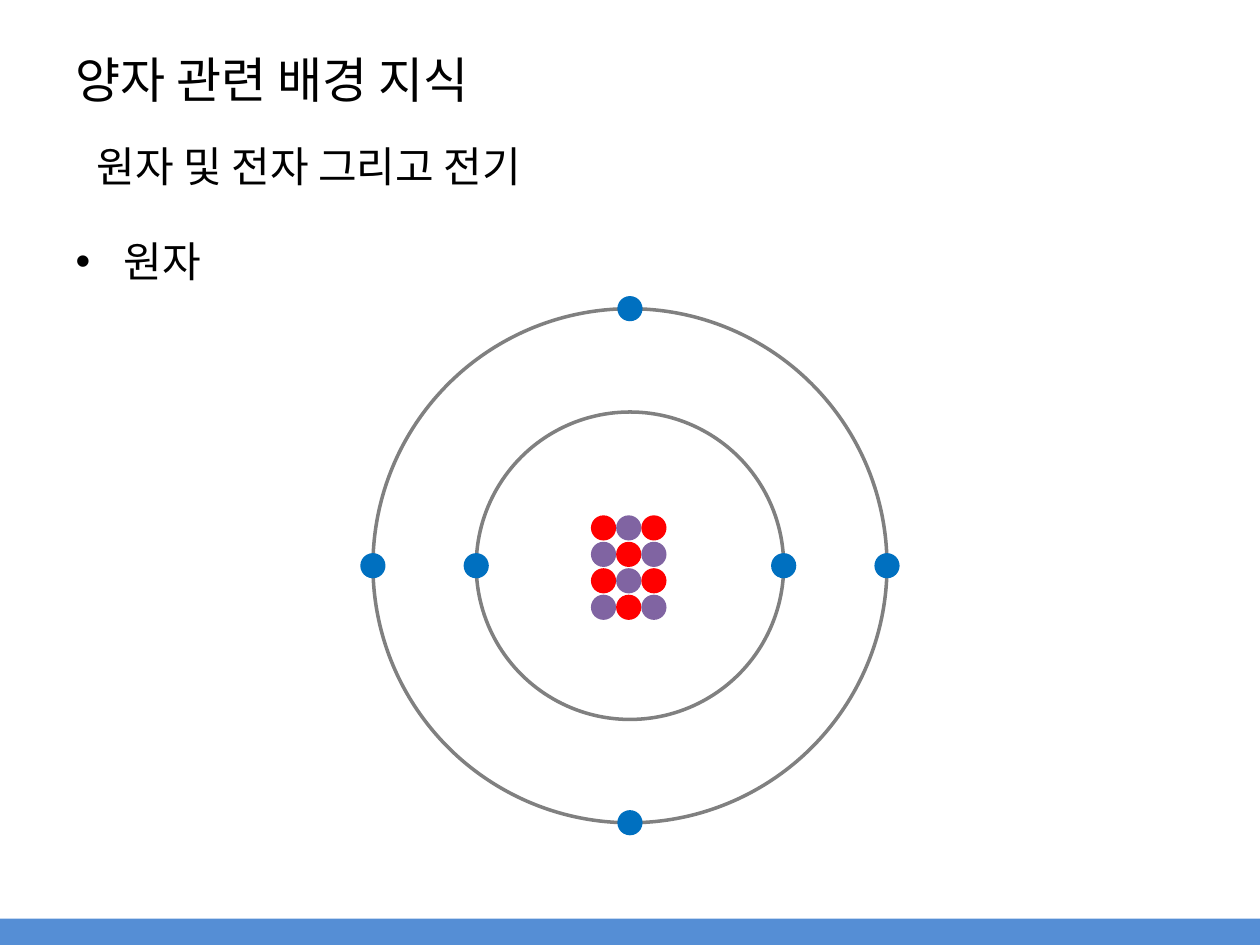
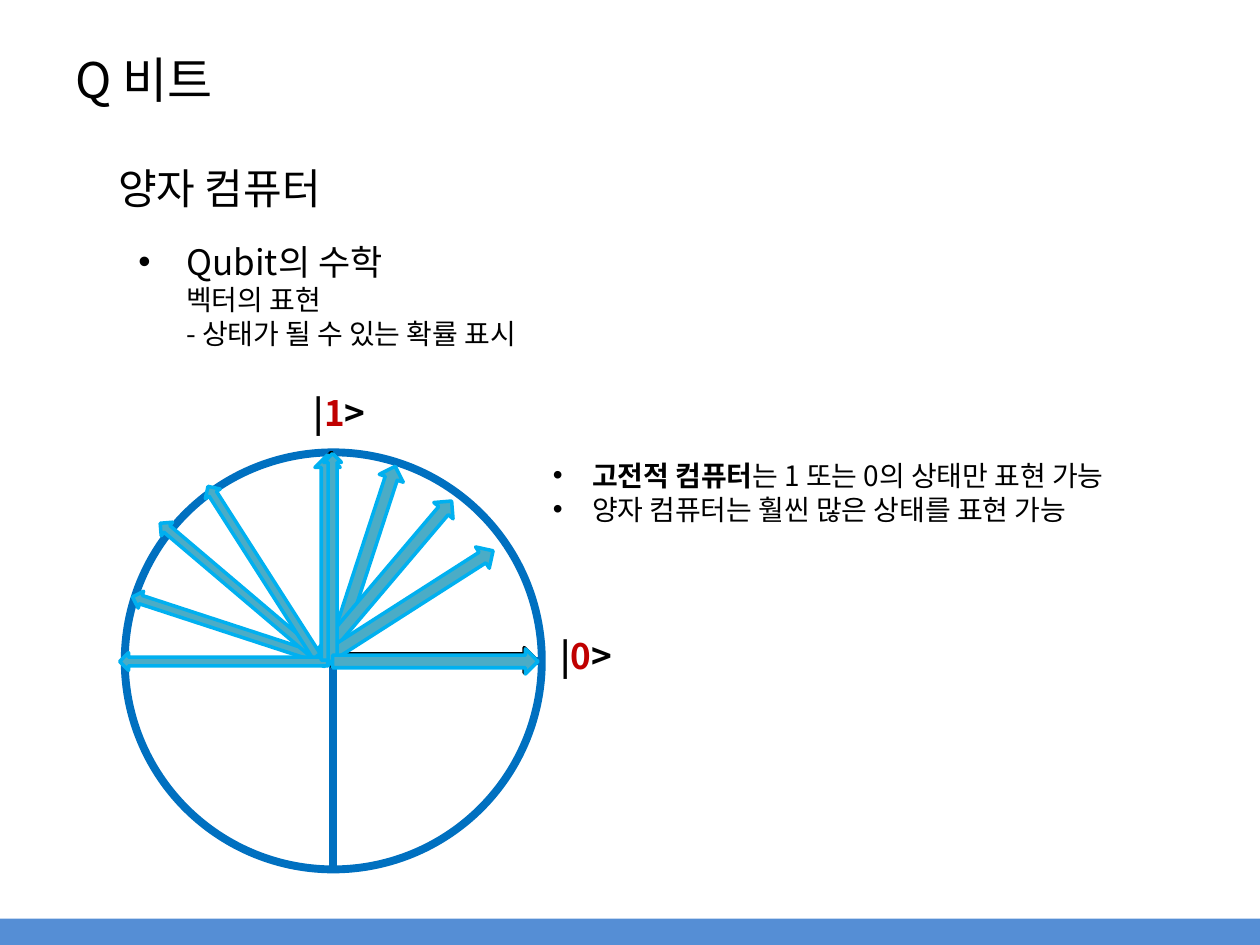
"""Builds two slides on atoms and qubits."""
import math
import pptx
import pptx.util
import pptx.dml.color
import pptx.enum.shapes
import pptx.enum.text
import pptx.oxml.ns
from lxml import etree

Inches = pptx.util.Inches
Pt = pptx.util.Pt
SHAPE = pptx.enum.shapes.MSO_SHAPE
ALIGN = pptx.enum.text.PP_ALIGN
ANCHOR = pptx.enum.text.MSO_ANCHOR
FIT = pptx.enum.text.MSO_AUTO_SIZE
qn = pptx.oxml.ns.qn

FONT = "Noto Sans CJK KR"
BLACK, RED, PURPLE, BLUE = "000000", "FF0000", "8064A2", "0070C0"
GRAY, BAND, MARK, TEAL, SKY = "808080", "558ED5", "C00000", "4BACC6", "00B0F0"


def color(code):
    return pptx.dml.color.RGBColor.from_string(code)


class Deck:
    def __init__(self):
        self.prs = pptx.Presentation()
        self.prs.slide_width, self.prs.slide_height = Inches(10), Inches(7.5)
        self.slide = None

    def page(self, title, layout):
        self.slide = self.prs.slides.add_slide(self.prs.slide_layouts[layout])
        head = self.slide.shapes.title
        self.place(head, 0.5, 0, 9, 1.25)
        head.text_frame.vertical_anchor = ANCHOR.MIDDLE
        self.para(head.text_frame.paragraphs[0], [(title, 28)])
        self.shape(SHAPE.RECTANGLE, 0, 7.29, 10, 0.21, BAND)

    def place(self, item, x, y, w, h):
        item.left, item.top = Inches(x), Inches(y)
        item.width, item.height = Inches(w), Inches(h)

    def para(self, para, runs, indent=0, bullet=False, align=ALIGN.LEFT):
        para.alignment = align
        para.space_before = Pt(0)
        props = para._p.get_or_add_pPr()
        props.set("marL", str(Inches(indent)))
        props.set("indent", str(-Inches(indent) if bullet else 0))
        if bullet:
            etree.SubElement(props, qn("a:buFont")).set("typeface", "Arial")
            etree.SubElement(props, qn("a:buChar")).set("char", "•")
        else:
            etree.SubElement(props, qn("a:buNone"))
        for text, size, *style in runs:
            run = para.add_run()
            run.text = text
            font = run.font
            font.name, font.size = FONT, Pt(size)
            font.bold = bool(style)
            font.color.rgb = color(style[0] if style else BLACK)
            east = etree.SubElement(run._r.get_or_add_rPr(), qn("a:ea"))
            east.set("typeface", FONT)

    def text(self, x, y, w, h, *paras, align=ALIGN.LEFT):
        box = self.slide.shapes.add_textbox(
            Inches(x), Inches(y), Inches(w), Inches(h))
        frame = box.text_frame
        frame.word_wrap = True
        for i, (runs, *form) in enumerate(paras):
            para = frame.add_paragraph() if i else frame.paragraphs[0]
            self.para(para, runs, *form, align=align)

    def body(self, x, y, w, h, runs):
        box = self.slide.placeholders[1]
        self.place(box, x, y, w, h)
        box.text_frame.auto_size = FIT.NONE
        para = box.text_frame.paragraphs[0]
        self.para(para, runs, 0.38, True)
        para.line_spacing = 1.3

    def shape(self, kind, x, y, w, h, fill=None, line=None, width=2):
        item = self.slide.shapes.add_shape(
            kind, Inches(x), Inches(y), Inches(w), Inches(h))
        item.shadow.inherit = False
        if fill:
            item.fill.solid()
            item.fill.fore_color.rgb = color(fill)
        else:
            item.fill.background()
        if line:
            item.line.color.rgb = color(line)
            item.line.width = Pt(width)
        else:
            item.line.fill.background()
        return item

    def disc(self, x, y, radius, fill=None, line=None):
        self.shape(SHAPE.OVAL, x - radius, y - radius,
                   2 * radius, 2 * radius, fill, line)

    def arrow(self, x, y, angle, wide, fill, line):
        w, h = (0.2, 1.63) if wide else (0.14, 1.65)
        turn = math.radians(angle)
        mid_x = x + h / 2 * math.sin(turn)
        mid_y = y - h / 2 * math.cos(turn)
        item = self.shape(SHAPE.UP_ARROW, mid_x - w / 2, mid_y - h / 2,
                          w, h, fill, line)
        item.rotation = angle


def atom(deck):
    deck.page("양자 관련 배경 지식", 1)
    deck.body(0.5, 1.7, 9, 0.72, [("원자", 24)])
    deck.text(0.67, 1.07, 4.09, 0.5, ([("원자 및 전자 그리고 전기", 24)],))
    for row in range(4):
        for col in range(3):
            deck.disc(4.79 + 0.2 * col, 4.19 + 0.21 * row, 0.1,
                      PURPLE if (row + col) % 2 else RED)
    x, y = 5, 4.49
    inner, outer = 1.22, 2.04
    for radius in (inner, outer):
        deck.disc(x, y, radius, line=GRAY)
    for dx, dy in ((inner, 0), (-inner, 0), (-outer, 0), (outer, 0),
                   (0, -outer), (0, outer)):
        deck.disc(x + dx, y + dy, 0.1, BLUE)


def qubit(deck):
    deck.page("Q 비트", 5)
    deck.text(0.84, 1.24, 2.52, 0.5, ([("양자 컴퓨터", 24)],))
    deck.text(1, 1.86, 6.61, 1.31,
              ([("Qubit의 수학", 20)], 0.38, True),
              ([("벡터의 표현", 16)], 0.38),
              ([("- 상태가 될 수 있는 확률 표시", 16)], 0.38))
    deck.text(4.29, 3.59, 5.59, 0.64,
              ([("고전적 컴퓨터", 16, BLACK),
                ("는 1 또는 0의 상태만 표현 가능", 16)], 0.31, True),
              ([("양자 컴퓨터는 훨씬 많은 상태를 표현 가능", 16)], 0.31, True))
    for x, y, state, align in ((2.01, 3.06, "1", ALIGN.CENTER),
                               (4.35, 4.99, "0", ALIGN.LEFT)):
        ket = [("|", 20, BLACK), (state, 20, MARK), (">", 20, BLACK)]
        deck.text(x, y, 1.37, 0.39, (ket,), align=align)
    deck.shape(SHAPE.FLOWCHART_OR, 0.99, 3.59, 3.31, 3.31,
               line=BLUE, width=4.5)
    for angle, wide in ((0, False), (90, True)):
        deck.arrow(2.63, 5.24, angle, wide, BLACK, BLACK)
    for x, y, angle, wide in (
            (2.62, 5.25, 288.1, False), (2.63, 5.25, 18.1, True),
            (2.53, 5.22, 310.3, False), (2.53, 5.22, 40.3, True),
            (2.54, 5.25, 327.4, False), (2.54, 5.25, 57.4, True),
            (2.6, 5.25, 270, False), (2.6, 5.24, 0, True),
            (2.64, 5.25, 0, False), (2.64, 5.25, 90, True)):
        deck.arrow(x, y, angle, wide, TEAL, SKY)


def main():
    deck = Deck()
    atom(deck)
    qubit(deck)
    deck.prs.save("out.pptx")


if __name__ == "__main__":
    main()
